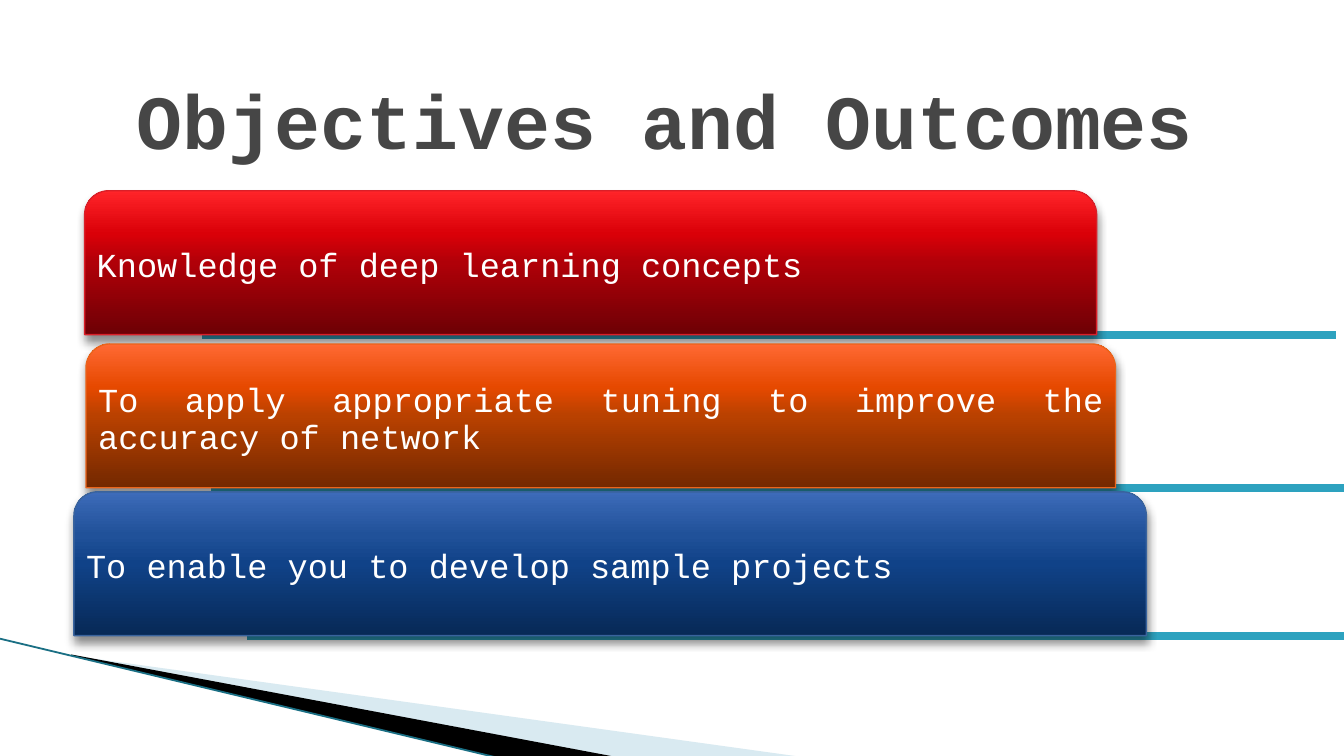
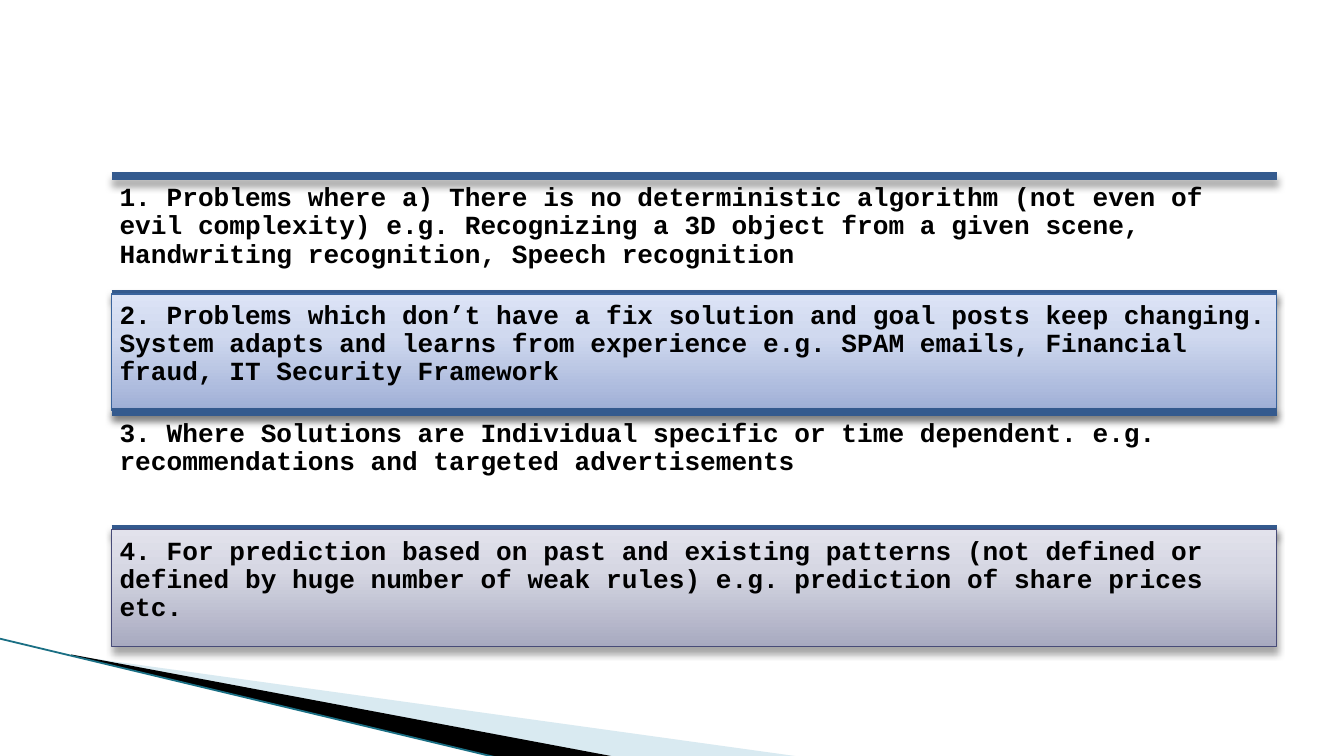
"""Build two slides: course objectives and the problems that suit machine learning."""
from lxml.etree import SubElement
from pptx import Presentation
from pptx.dml.color import RGBColor
from pptx.enum.shapes import MSO_CONNECTOR as Connector, MSO_SHAPE as Shape
from pptx.enum.text import MSO_ANCHOR as Anchor, PP_ALIGN as Align
from pptx.oxml.ns import qn
from pptx.util import Inches, Pt

FONT = "Courier New"
WHITE = RGBColor(0xFF, 0xFF, 0xFF)
BLACK = RGBColor(0x00, 0x00, 0x00)
TITLE_GREY = RGBColor(0x46, 0x46, 0x46)
PALE_BLUE = RGBColor(0xA0, 0xCB, 0xDC)
EDGE_TEAL = RGBColor(0x1A, 0x6F, 0x84)
RULE_TEAL = RGBColor(0x2D, 0xA2, 0xBF)
RULE_NAVY = RGBColor(0x34, 0x5A, 0x8E)
RED = RGBColor(0xDA, 0x1F, 0x28)
ORANGE = RGBColor(0xEB, 0x64, 0x1B)
BLUE = RGBColor(0x39, 0x63, 0x9D)
VIOLET = RGBColor(0x47, 0x4B, 0x78)

TITLE_FORMAT = {"name": FONT, "size": Pt(41), "bold": True}
BAR_FORMAT = {"name": FONT, "size": Pt(18)}
ROW_FORMAT = {"name": FONT, "size": Pt(14), "bold": True}
BAR_SHADOW = {"alpha": 45, "blur": 5}
ROW_SHADOW = {"alpha": 35, "blur": 4}
RULE_WIDTH = 4.33


def add_text(page, place, text, font_format, color, inset, frame_format, para_format):
    box = page.shapes.add_textbox(*map(Inches, place))
    frame = box.text_frame
    frame.word_wrap = True
    for side in ("left", "right", "top", "bottom"):
        setattr(frame, f"margin_{side}", Inches(inset))
    para = frame.paragraphs[0]
    span = para.add_run()
    span.text = text
    span.font.color.rgb = color
    for target, values in ((frame, frame_format), (para, para_format), (span.font, font_format)):
        for name, value in values.items():
            setattr(target, name, value)


def finish(shape, line_color, line_width, shadow=None, stops=()):
    shape.line.color.rgb = line_color
    shape.line.width = Pt(line_width)
    properties = shape._element.spPr
    if stops:
        shape.fill.gradient()
        shape.fill.gradient_angle = 90
        stop_list = properties.find(qn("a:gradFill")).find(qn("a:gsLst"))
        stop_list.clear()
        for position, color in stops:
            stop = SubElement(stop_list, qn("a:gs"), pos=str(position * 1000))
            SubElement(stop, qn("a:srgbClr"), val=color)
    effects = SubElement(properties, qn("a:effectLst"))
    if shadow:
        outer = SubElement(effects, qn("a:outerShdw"), blurRad=str(Pt(shadow["blur"])),
                           dist=str(Pt(3)), dir="5400000", rotWithShape="0")
        tone = SubElement(outer, qn("a:srgbClr"), val=str(BLACK))
        SubElement(tone, qn("a:alpha"), val=str(shadow["alpha"] * 1000))


deck = Presentation()
deck.slide_width = Inches(10)
deck.slide_height = deck.slide_width * 9 // 16
pages = [deck.slides.add_slide(deck.slide_layouts[6]) for _ in range(2)]
objectives_page, problems_page = pages

wedges = [
    (PALE_BLUE, 40, [(0.55, 4.88), (5.95, 5.63), (4.56, 5.63)]),
    (BLACK, 100, [(0.53, 4.87), (4.57, 5.63), (3.72, 5.64), (0.54, 4.88)]),
]
for page in pages:
    for color, opacity, corners in wedges:
        points = [(Inches(x), Inches(y)) for x, y in corners]
        builder = page.shapes.build_freeform(*points[0])
        builder.add_line_segments(points[1:], close=True)
        wedge = builder.convert_to_shape()
        wedge.shadow.inherit = False
        wedge.line.fill.background()
        wedge.fill.solid()
        wedge.fill.fore_color.rgb = color
        if opacity < 100:
            tone = wedge._element.spPr.find(qn("a:solidFill"))[0]
            SubElement(tone, qn("a:alpha"), val=str(opacity * 1000))
    edge = page.shapes.add_connector(
        Connector.STRAIGHT, Inches(-0.01), Inches(4.75), Inches(3.71), Inches(5.64))
    finish(edge, EDGE_TEAL, 0.95)

add_text(objectives_page, (0.92, 0.4, 8.99, 0.97), "Objectives and Outcomes", TITLE_FORMAT,
         TITLE_GREY, 0.1, {"vertical_anchor": Anchor.MIDDLE}, {})

BAR_HEIGHT = 1.07
RULE_LENGTH = 8.44
BAR_PAD = 0.05
TEXT_DROP = 0.03
BAR_POSITIONS = (0, 50, 70, 100)
bars = [
    (0.63, 1.42, 7.53, 1.5, RED, ("6D0005", "B00008", "DA0008", "FF2429"),
     "Knowledge of deep learning concepts"),
    (0.64, 2.56, 7.66, 1.57, ORANGE, ("732800", "B94100", "E64900", "FF6933"),
     "To apply appropriate tuning to improve the accuracy of network"),
    (0.55, 3.66, 7.98, 1.84, BLUE, ("072956", "104288", "205199", "3D6BB9"),
     "To enable you to develop sample projects"),
]
for left, top, width, rule_left, *_ in reversed(bars):
    rule_y = Inches(top + BAR_HEIGHT)
    rule = objectives_page.shapes.add_connector(
        Connector.STRAIGHT, Inches(rule_left), rule_y, Inches(rule_left + RULE_LENGTH), rule_y)
    finish(rule, RULE_TEAL, RULE_WIDTH)
for left, top, width, _, outline, shades, text in bars:
    bar = objectives_page.shapes.add_shape(
        Shape.ROUND_2_SAME_RECTANGLE, *map(Inches, (left, top, width, BAR_HEIGHT)))
    bar.adjustments[0] = 1 / 6
    bar.adjustments[1] = 0
    finish(bar, outline, 0.75, BAR_SHADOW, list(zip(BAR_POSITIONS, shades)))
    inner = (left + BAR_PAD, top + BAR_PAD + TEXT_DROP,
             width - 2 * BAR_PAD, BAR_HEIGHT - 2 * BAR_PAD)
    add_text(objectives_page, inner, text, BAR_FORMAT, WHITE, 0.04,
             {"vertical_anchor": Anchor.MIDDLE},
             {"alignment": Align.JUSTIFY, "line_spacing": 0.9})

ROW_LEFT, ROW_TOP, ROW_WIDTH, ROW_HEIGHT = 0.83, 1.31, 8.67, 0.87
LAST_ROW_TOP = 3.94
ROW_POSITIONS = (0, 65, 100)
rows = [
    (None, (), "1. Problems where a) There is no deterministic algorithm (not even of evil "
     "complexity) e.g. Recognizing a 3D object from a given scene, Handwriting recognition, "
     "Speech recognition"),
    (BLUE, ("9FAFD6", "D0D9EF", "DCE3F6"),
     "2. Problems which don’t have a fix solution and goal posts keep changing. System adapts "
     "and learns from experience e.g. SPAM emails, Financial fraud, IT Security Framework"),
    (None, (), "3. Where Solutions are Individual specific or time dependent. e.g. "
     "recommendations and targeted advertisements"),
    (VIOLET, ("A8AAC0", "D6D7E3", "E2E2EC"),
     "4. For prediction based on past and existing patterns (not defined or defined by huge "
     "number of weak rules) e.g. prediction of share prices etc."),
]
row_step = (LAST_ROW_TOP - ROW_TOP) / (len(rows) - 1)
for index, (outline, shades, text) in enumerate(rows):
    top = ROW_TOP + index * row_step
    place = (ROW_LEFT, top, ROW_WIDTH, ROW_HEIGHT)
    rule = problems_page.shapes.add_connector(
        Connector.STRAIGHT, Inches(ROW_LEFT), Inches(top),
        Inches(ROW_LEFT + ROW_WIDTH), Inches(top))
    finish(rule, RULE_NAVY, RULE_WIDTH, ROW_SHADOW)
    if outline:
        panel = problems_page.shapes.add_shape(Shape.RECTANGLE, *map(Inches, place))
        finish(panel, outline, 0.75, ROW_SHADOW, list(zip(ROW_POSITIONS, shades)))
    add_text(problems_page, place, text, ROW_FORMAT, BLACK, 0.06,
             {"vertical_anchor": Anchor.TOP}, {"line_spacing": 0.9})

deck.save("out.pptx")
